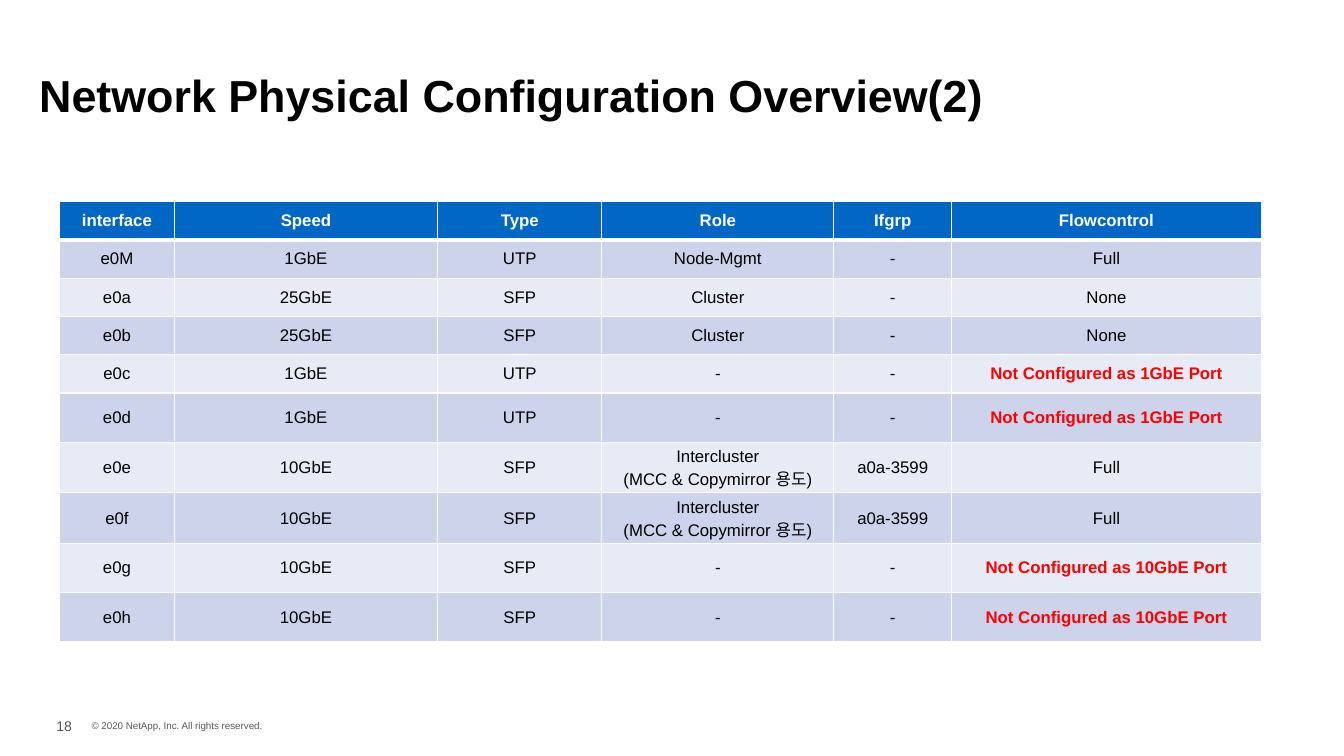
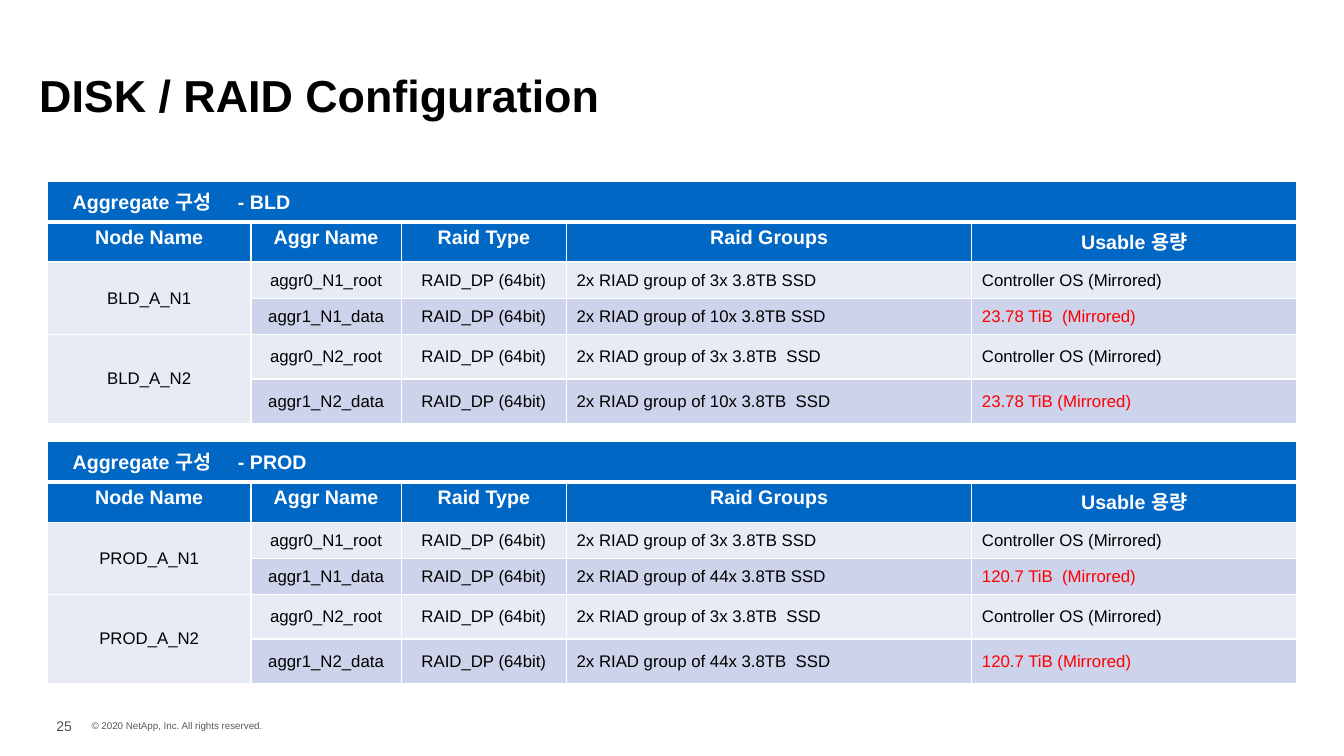
from collections import namedtuple
from dataclasses import dataclass

from lxml.etree import SubElement
from pptx import Presentation
from pptx.dml.color import RGBColor as RGB
from pptx.enum.text import MSO_ANCHOR as ANCHOR, PP_ALIGN as ALIGN
from pptx.oxml.ns import qn
from pptx.util import Pt

PX = 9144  # EMU per px, 100 px to the inch
Box = namedtuple("Box", "left top width height")


@dataclass(frozen=True)
class Theme:
    font: str = "Arial"
    black: str = "000000"
    white: str = "FFFFFF"
    header: str = "0067C5"
    light: str = "E7EBF5"
    dark: str = "CCD3EA"
    warning: str = "FF0000"
    number: str = "4E5252"
    copyright: str = "595959"
    title_pt: int = 32
    heading_pt: int = 14
    body_pt: int = 12
    number_pt: int = 10
    copyright_pt: int = 7
    rule_pt: int = 1
    header_rule_pt: int = 3


THEME = Theme()
PAGE = Box(0, 0, 1333, 750)


def emu(px):
    return round(px * PX)


def set_font(p, size, color, bold=False):
    f = p.font
    f.name, f.size, f.bold = THEME.font, Pt(size), bold
    f.color.rgb = RGB.from_string(color)


def add_text(slide, box, text, size, color, bold=False):
    tf = slide.shapes.add_textbox(*map(emu, box)).text_frame
    tf.word_wrap = True
    tf.text = text
    set_font(tf.paragraphs[0], size, color, bold)
    return tf


def add_page(prs, title, number):
    """Add a slide with the shared title and footer."""
    slide = prs.slides.add_slide(prs.slide_layouts[6])
    left, bottom = PAGE.left, PAGE.top + PAGE.height
    add_text(slide, Box(left + 81, bottom - 41, 196, 22),
             "© 2020 NetApp, Inc. All rights reserved.",
             THEME.copyright_pt, THEME.copyright)
    add_text(slide, Box(left + 46, bottom - 43, 49, 29), str(number),
             THEME.number_pt, THEME.number)
    tf = add_text(slide, Box(left + 29, PAGE.top + 25, 1275, 100), title,
                  THEME.title_pt, THEME.black, True)
    tf.vertical_anchor = ANCHOR.BOTTOM
    tf.paragraphs[0].line_spacing = 1.4
    return slide


def set_borders(cell, row):
    tcPr = cell._tc.get_or_add_tcPr()
    heavy = {0: "lnB", 1: "lnT"}.get(row)
    for side in ("lnL", "lnR", "lnT", "lnB"):
        width = THEME.header_rule_pt if side == heavy else THEME.rule_pt
        ln = SubElement(tcPr, qn(f"a:{side}"), w=str(Pt(width)))
        fill = SubElement(ln, qn("a:solidFill"))
        SubElement(fill, qn("a:srgbClr"), val=THEME.white)


def add_grid(slide, box, cols, heights, header_rows):
    """Add a table with header rows and banded body rows, still without text."""
    table = slide.shapes.add_table(len(heights), len(cols),
                                   *map(emu, box)).table
    table.first_row = table.horz_banding = False
    for column, width in zip(table.columns, cols):
        column.width = emu(width)
    for r, height in enumerate(heights):
        table.rows[r].height = emu(height)
        band = THEME.dark if r % 2 else THEME.light
        for cell in table.rows[r].cells:
            set_borders(cell, r)
            cell.fill.solid()
            cell.fill.fore_color.rgb = RGB.from_string(
                THEME.header if r < header_rows else band)
    return table


def fill_cell(cell, text, size=THEME.body_pt, color=THEME.black, bold=False,
              align=ALIGN.CENTER, anchor=ANCHOR.MIDDLE):
    cell.text = text
    cell.vertical_anchor = anchor
    for p in cell.text_frame.paragraphs:
        p.alignment = align
        set_font(p, size, color, bold)


def interface_table(slide, left, top):
    cols = [114, 261, 163, 230, 117, 307]
    heights = [38] * 5 + [49] * 5
    intercluster = "Intercluster\n(MCC & Copymirror 용도)"
    unused = "Not Configured as {} Port"
    rows = [
        ("interface", "Speed", "Type", "Role", "Ifgrp", "Flowcontrol"),
        ("e0M", "1GbE", "UTP", "Node-Mgmt", "-", "Full"),
        ("e0a", "25GbE", "SFP", "Cluster", "-", "None"),
        ("e0b", "25GbE", "SFP", "Cluster", "-", "None"),
        ("e0c", "1GbE", "UTP", "-", "-", unused),
        ("e0d", "1GbE", "UTP", "-", "-", unused),
        ("e0e", "10GbE", "SFP", intercluster, "a0a-3599", "Full"),
        ("e0f", "10GbE", "SFP", intercluster, "a0a-3599", "Full"),
        ("e0g", "10GbE", "SFP", "-", "-", unused),
        ("e0h", "10GbE", "SFP", "-", "-", unused),
    ]
    box = Box(left, top, sum(cols), sum(heights))
    table = add_grid(slide, box, cols, heights, header_rows=1)
    for r, row in enumerate(rows):
        for c, text in enumerate(row):
            warn = text == unused
            color = (THEME.white if r == 0
                     else THEME.warning if warn else THEME.black)
            fill_cell(table.cell(r, c), text.format(row[1]), color=color,
                      bold=r == 0 or warn)


def aggregate_heading(cell, site):
    cell.margin_left = emu(25)
    cell.text = f"Aggregate 구성\t- {site}"
    p = cell.text_frame.paragraphs[0]
    tabs = SubElement(p._p.get_or_add_pPr(), qn("a:tabLst"))
    SubElement(tabs, qn("a:tab"), pos=str(emu(164)), algn="l")
    set_font(p, THEME.heading_pt, THEME.white, True)


def aggregate_table(slide, left, top, site, disks, usable):
    cols = [202, 149, 164, 402, 322]
    heights = [40, 40, 36, 36, 44, 44]
    headings = ["Node Name", "Aggr Name", "Raid Type", "Raid Groups",
                "Usable 용량"]
    box = Box(left, top, sum(cols), sum(heights))
    table = add_grid(slide, box, cols, heights, header_rows=2)

    table.cell(0, 0).merge(table.cell(0, len(cols) - 1))
    aggregate_heading(table.cell(0, 0), site)
    for c, text in enumerate(headings):
        fill_cell(table.cell(1, c), text, THEME.heading_pt, THEME.white, True,
                  anchor=ANCHOR.TOP)

    group = "2x RIAD group of {}x 3.8TB{}SSD"
    for node, gap, usable_gap in ((1, " ", "  "), (2, "  ", " ")):
        root = 2 * node
        data = root + 1
        table.cell(root, 0).merge(table.cell(data, 0))
        fill_cell(table.cell(root, 0), f"{site}_A_N{node}")
        aggregates = (
            (root, f"aggr0_N{node}_root", 3, "Controller OS (Mirrored)",
             THEME.black),
            (data, f"aggr1_N{node}_data", disks,
             f"{usable} TiB{usable_gap}(Mirrored)", THEME.warning),
        )
        for r, name, count, capacity, color in aggregates:
            fill_cell(table.cell(r, 1), name)
            fill_cell(table.cell(r, 2), "RAID_DP (64bit)")
            fill_cell(table.cell(r, 3), group.format(count, gap),
                      align=ALIGN.LEFT)
            fill_cell(table.cell(r, 4), capacity, color=color,
                      align=ALIGN.LEFT)


def main():
    prs = Presentation()
    prs.slide_width, prs.slide_height = emu(PAGE.width), emu(PAGE.height)

    network = add_page(prs, "Network Physical Configuration Overview(2)", 18)
    interface_table(network, 59, 200)

    disk = add_page(prs, "DISK / RAID Configuration", 25)
    sites = (("BLD", 10, "23.78"), ("PROD", 44, "120.7"))
    for i, site in enumerate(sites):
        aggregate_table(disk, 47, 180 + 258 * i, *site)

    prs.save("out.pptx")


if __name__ == "__main__":
    main()
